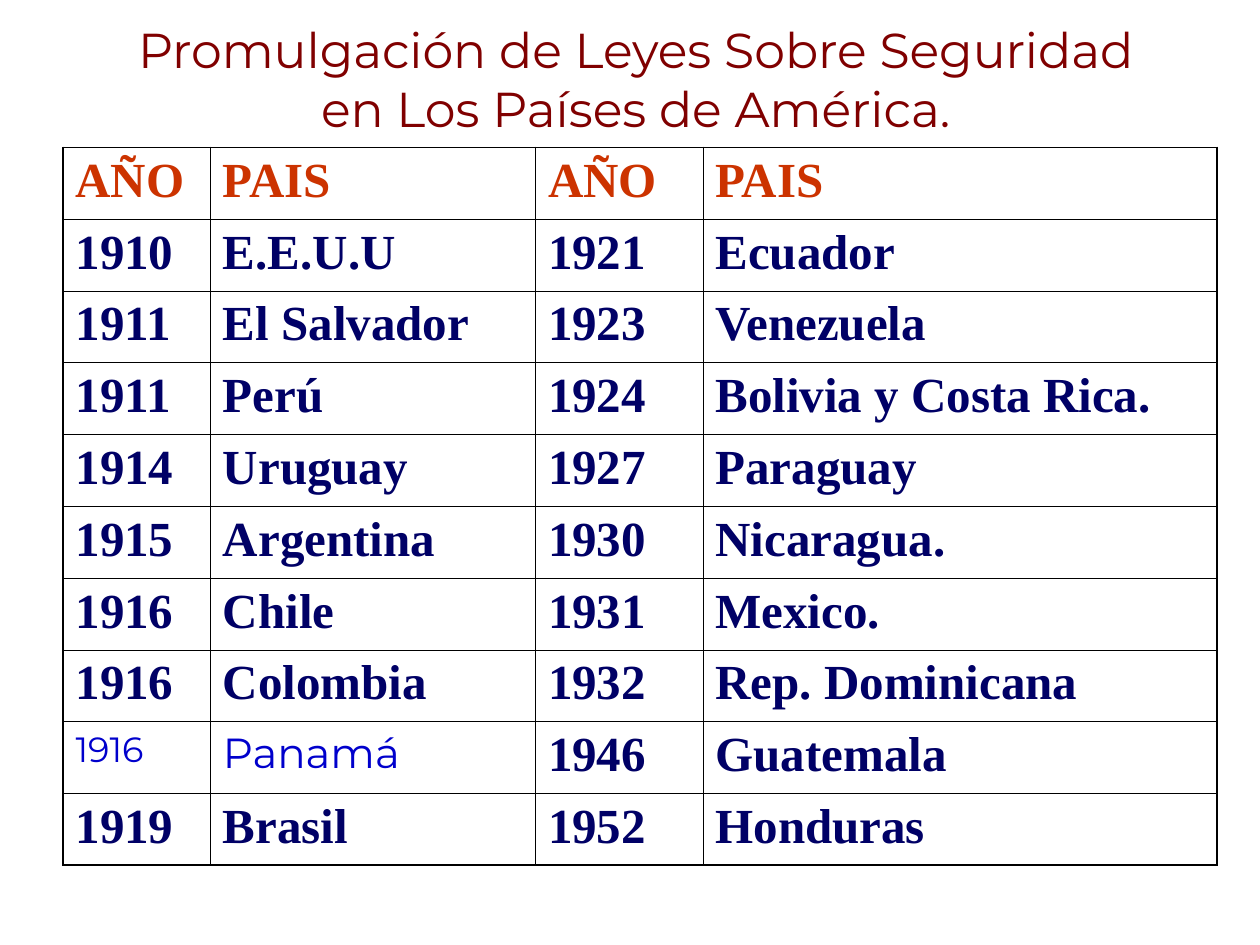
from dataclasses import dataclass

from lxml.etree import SubElement
from pptx import Presentation
from pptx.dml.color import RGBColor
from pptx.enum.text import MSO_ANCHOR, PP_ALIGN
from pptx.oxml.ns import qn
from pptx.table import Table, _Cell
from pptx.text.text import _Paragraph
from pptx.util import Inches, Pt

COLORS = {
    "title": "800000",
    "header": "CC3300",
    "body": "000066",
    "panama": "0000CC",
    "border": "000000",
}
OUTER_BORDER, INNER_BORDER = Pt(1.08), Pt(0.45)


@dataclass(frozen=True)
class TextStyle:
    color: str
    size: int = 28
    font: str = "Times New Roman"
    bold: bool = True


TITLE = TextStyle("title", font="Montserrat", bold=False)
HEADER = TextStyle("header")
BODY = TextStyle("body")
# The Panamá entry is set apart from the rest of the table.
SPECIAL_STYLES = {
    (8, 0): TextStyle("panama", 20, "Montserrat", False),
    (8, 1): TextStyle("panama", 24, "Montserrat", False),
}

COLUMN_WIDTHS = (1.17, 2.58, 1.33, 4.08)
ROW_HEIGHT = 0.57
LAWS = [
    ("AÑO", "PAIS", "AÑO", "PAIS"),
    ("1910", "E.E.U.U", "1921", "Ecuador"),
    ("1911", "El Salvador", "1923", "Venezuela"),
    ("1911", "Perú", "1924", "Bolivia y Costa Rica."),
    ("1914", "Uruguay", "1927", "Paraguay"),
    ("1915", "Argentina", "1930", "Nicaragua."),
    ("1916", "Chile", "1931", "Mexico."),
    ("1916", "Colombia", "1932", "Rep. Dominicana"),
    ("1916", "Panamá", "1946", "Guatemala"),
    ("1919", "Brasil", "1952", "Honduras"),
]


def write(paragraph: _Paragraph, text: str, style: TextStyle) -> None:
    paragraph.text = text
    for run in paragraph.runs:
        run.font.name = style.font
        run.font.size = Pt(style.size)
        run.font.bold = style.bold
        run.font.color.rgb = RGBColor.from_string(COLORS[style.color])


def draw_borders(cell: _Cell, outer_sides: dict[str, bool]) -> None:
    """Draw each side in schema order, heavier where it is a table edge."""
    properties = cell._tc.get_or_add_tcPr()
    for side, is_outer in outer_sides.items():
        width = OUTER_BORDER if is_outer else INNER_BORDER
        line = SubElement(properties, qn(f"a:ln{side}"), w=str(int(width)))
        fill = SubElement(line, qn("a:solidFill"))
        SubElement(fill, qn("a:srgbClr"), val=COLORS["border"])


def fill_table(table: Table) -> None:
    table.first_row = table.horz_banding = False
    for column, width in zip(table.columns, COLUMN_WIDTHS):
        column.width = Inches(width)
    last_row, last_column = len(LAWS) - 1, len(COLUMN_WIDTHS) - 1
    for r, entries in enumerate(LAWS):
        table.rows[r].height = Inches(ROW_HEIGHT)
        for c, entry in enumerate(entries):
            cell = table.cell(r, c)
            default = HEADER if r == 0 else BODY
            write(cell.text_frame.paragraphs[0], entry, SPECIAL_STYLES.get((r, c), default))
            draw_borders(cell, {"L": c == 0, "R": c == last_column, "T": r == 0, "B": r == last_row})
            cell.fill.background()


def main() -> None:
    presentation = Presentation()
    presentation.slide_width, presentation.slide_height = Inches(10), Inches(7.5)
    slide = presentation.slides.add_slide(presentation.slide_layouts[6])

    title = slide.shapes.add_textbox(Inches(0.92), Inches(0.08), Inches(8.25), Inches(1.08)).text_frame
    title.word_wrap = True
    title.vertical_anchor = MSO_ANCHOR.MIDDLE
    write(title.paragraphs[0], "Promulgación de Leyes Sobre Seguridad en Los Países de América.", TITLE)
    title.paragraphs[0].alignment = PP_ALIGN.CENTER

    laws = slide.shapes.add_table(
        len(LAWS), len(COLUMN_WIDTHS), Inches(0.5), Inches(1.17),
        Inches(sum(COLUMN_WIDTHS)), Inches(ROW_HEIGHT * len(LAWS)),
    )
    fill_table(laws.table)
    presentation.save("out.pptx")


if __name__ == "__main__":
    main()
